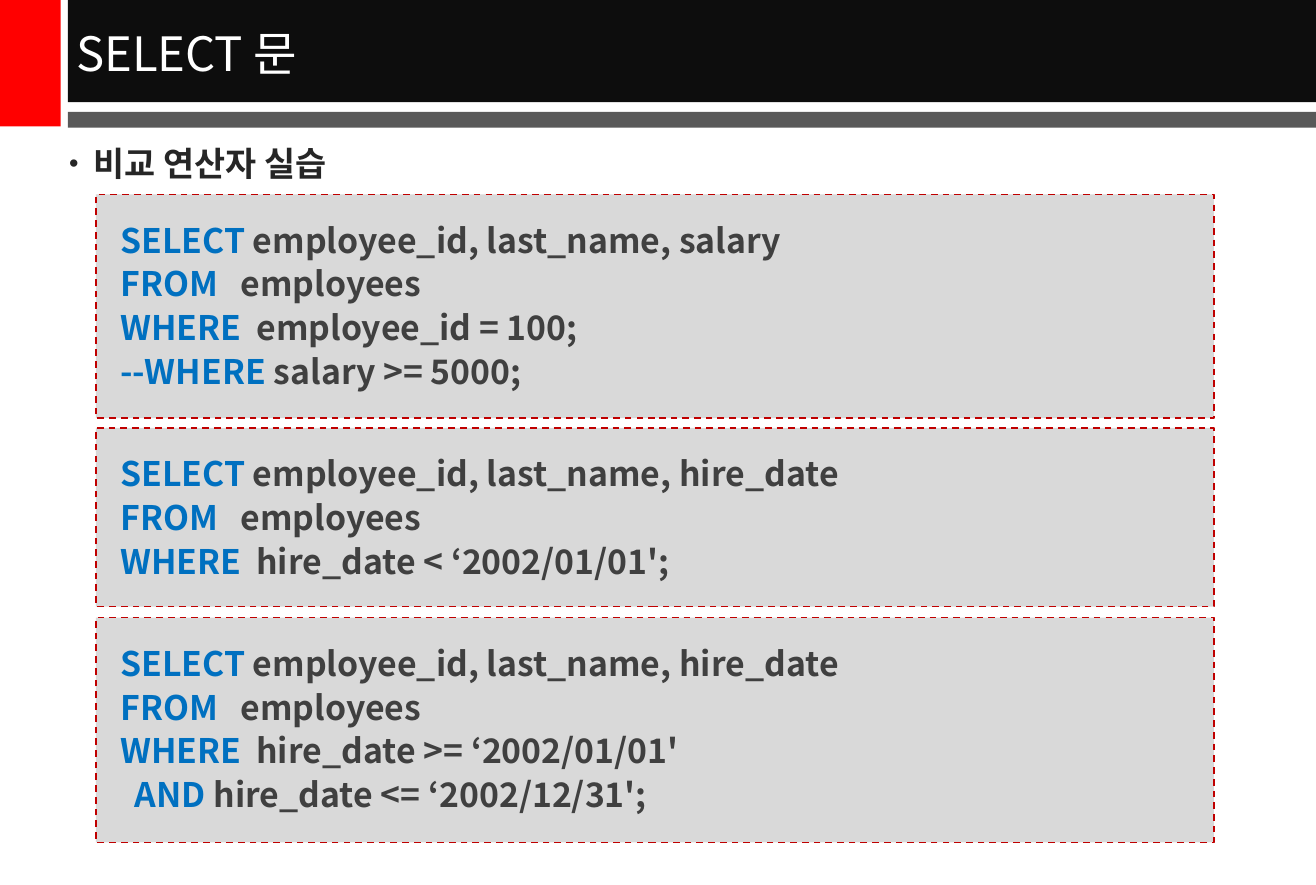
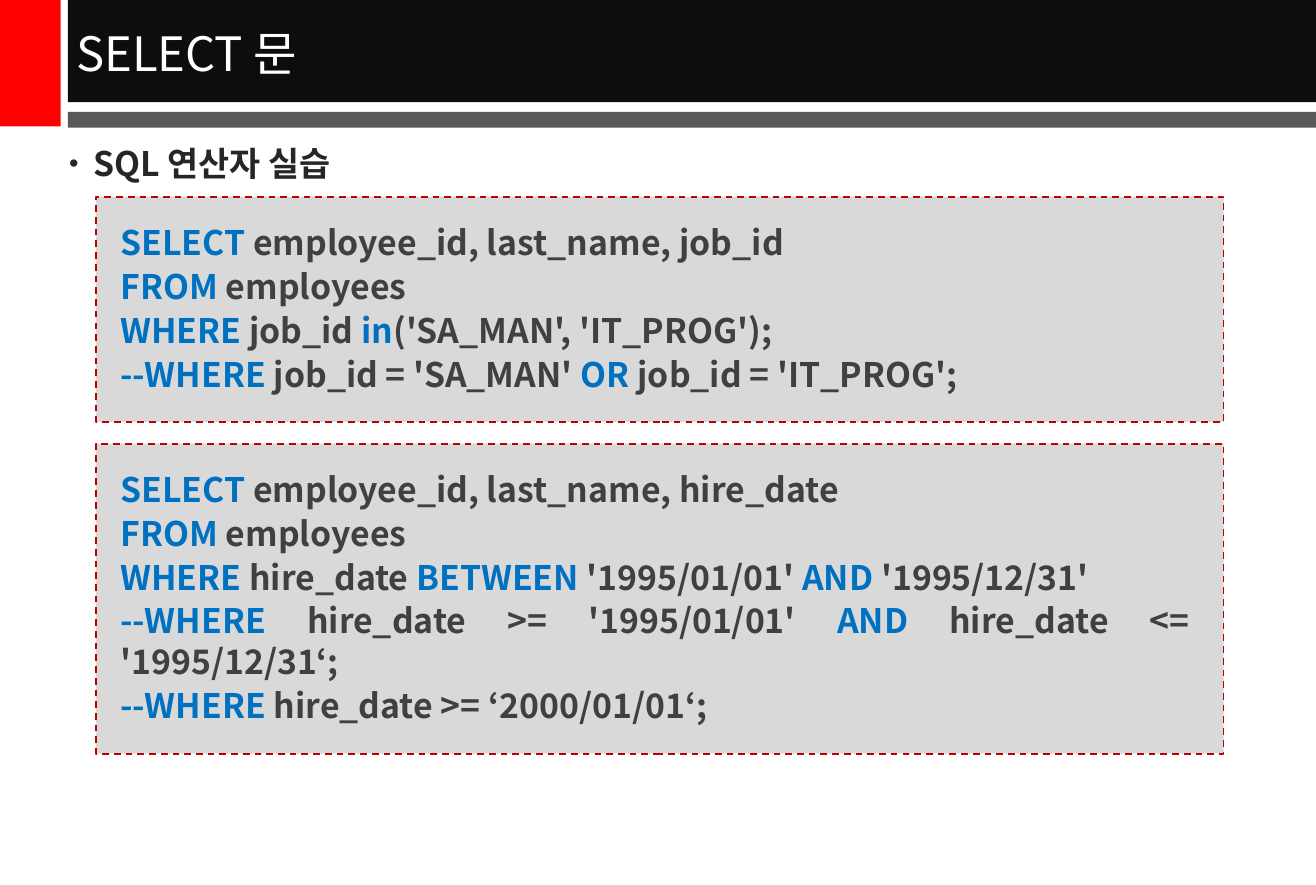
from dataclasses import dataclass

from lxml import etree
from pptx import Presentation
from pptx import util as u
from pptx.dml.color import RGBColor
from pptx.enum import dml, shapes, text
from pptx.oxml.ns import qn

EMU_PER_PX = 9144  # 100 px to the inch


@dataclass(frozen=True)
class Theme:
    font: str = "Noto Sans CJK KR"
    accent: str = "FF0000"
    title_band: str = "0D0D0D"
    rule_band: str = "595959"
    title: str = "FFFFFF"
    heading: str = "262626"
    keyword: str = "0070C0"
    code: str = "404040"
    panel: str = "D9D9D9"
    panel_line: str = "C00000"
    title_size: int = 28
    body_size: int = 20
    body_leading: float = 24.3
    code_gap: float = 1.7
    heading_gap: float = 2


@dataclass(frozen=True)
class Box:
    left: int
    top: int
    width: int
    height: int


@dataclass(frozen=True)
class Line:
    """Code whose pieces alternate: keyword, plain, keyword, ..."""
    pieces: tuple[str, ...]
    tab: int = 0
    indent: int = 0


@dataclass(frozen=True)
class Panel:
    box: Box
    lines: tuple[Line, ...]


@dataclass(frozen=True)
class Page:
    heading: str
    panels: tuple[Panel, ...]


THEME = Theme()
TITLE = "SELECT 문"
BANDS = (
    (Box(0, 0, 50, 104), THEME.accent),
    (Box(56, 0, 1027, 84), THEME.title_band),
    (Box(56, 92, 1027, 13), THEME.rule_band),
)
TITLE_BOX = Box(53, 2, 1030, 82)
HEADING_BOX = Box(47, 112, 991, 44)
PANEL_LEFT = 79
FROM_TAB, WHERE_TAB = 99, 112

FROM_ALIGNED = Line(("FROM\t", "employees"), tab=FROM_TAB)
FROM_PLAIN = Line(("FROM ", "employees"))
SELECT_HIRE_DATE = Line(("SELECT ", "employee_id, last_name, hire_date"))

PAGES = (
    Page("비교 연산자 실습", (
        Panel(Box(PANEL_LEFT, 160, 920, 184), (
            Line(("SELECT ", "employee_id, last_name, salary")),
            FROM_ALIGNED,
            Line(("WHERE\t", "employee_id = 100;"), tab=WHERE_TAB),
            Line(("--WHERE ", "salary >= 5000;")),
        )),
        Panel(Box(PANEL_LEFT, 352, 920, 147), (
            SELECT_HIRE_DATE,
            FROM_ALIGNED,
            Line(("WHERE\t", "hire_date < ‘2002/01/01';"), tab=WHERE_TAB),
        )),
        Panel(Box(PANEL_LEFT, 508, 920, 185), (
            SELECT_HIRE_DATE,
            FROM_ALIGNED,
            Line(("WHERE\t", "hire_date >= ‘2002/01/01'"), tab=WHERE_TAB),
            Line(("AND ", "hire_date <= ‘2002/12/31';"), indent=12),
        )),
    )),
    Page("SQL 연산자 실습", (
        Panel(Box(PANEL_LEFT, 162, 928, 185), (
            Line(("SELECT ", "employee_id, last_name, job_id")),
            FROM_PLAIN,
            Line(("WHERE ", "job_id", " in", "('SA_MAN', 'IT_PROG');")),
            Line(("--WHERE ", "job_id = 'SA_MAN' ", "OR ", "job_id = 'IT_PROG';")),
        )),
        Panel(Box(PANEL_LEFT, 365, 928, 255), (
            SELECT_HIRE_DATE,
            FROM_PLAIN,
            Line(("WHERE ", "hire_date", " BETWEEN ", "'1995/01/01'",
                  " AND ", "'1995/12/31'")),
            Line(("--WHERE ", "hire_date >= '1995/01/01'",
                  " AND ", "hire_date <= '1995/12/31‘;")),
            Line(("--WHERE ", "hire_date >= ‘2000/01/01‘;")),
        )),
    )),
)


def px(length: int) -> u.Emu:
    return u.Emu(length * EMU_PER_PX)


def place(box: Box) -> tuple[u.Emu, ...]:
    return px(box.left), px(box.top), px(box.width), px(box.height)


def color(value: str) -> RGBColor:
    return RGBColor.from_string(value)


def set_font(paragraph, size: int, bold: bool = False) -> None:
    """Set one typeface for Latin and Korean text."""
    paragraph.font.name = THEME.font
    paragraph.font.size = u.Pt(size)
    paragraph.font.bold = bold
    defaults = paragraph._p.pPr.find(qn("a:defRPr"))
    etree.SubElement(defaults, qn("a:ea"), typeface=THEME.font)


def set_indent(paragraph, left: int, first: int = 0) -> None:
    paragraph._p.pPr.set("marL", str(px(left)))
    paragraph._p.pPr.set("indent", str(px(first)))


def add_property(paragraph, tag: str, **attributes: str):
    """Add a paragraph property ahead of its font defaults."""
    element = etree.Element(qn(tag), attributes)
    paragraph._p.pPr.find(qn("a:defRPr")).addprevious(element)
    return element


def add_run(paragraph, wording: str, value: str) -> None:
    run = paragraph.add_run()
    run.text = wording
    run.font.color.rgb = color(value)


def add_rectangle(slide, box: Box, fill: str):
    shape = slide.shapes.add_shape(shapes.MSO_SHAPE.RECTANGLE, *place(box))
    shape.shadow.inherit = False
    shape.fill.solid()
    shape.fill.fore_color.rgb = color(fill)
    shape.line.fill.background()
    return shape


def add_text(slide, box: Box, wording: str, value: str, size: int, bold: bool = False):
    frame = slide.shapes.add_textbox(*place(box)).text_frame
    frame.word_wrap = True
    paragraph = frame.paragraphs[0]
    set_font(paragraph, size, bold)
    add_run(paragraph, wording, value)
    return frame


# Shared bands and title
def add_header(slide) -> None:
    for box, fill in BANDS:
        add_rectangle(slide, box, fill)
    frame = add_text(slide, TITLE_BOX, TITLE, THEME.title, THEME.title_size)
    frame.vertical_anchor = text.MSO_ANCHOR.MIDDLE


# Bulleted heading
def add_heading(slide, wording: str) -> None:
    frame = add_text(slide, HEADING_BOX, wording, THEME.heading, THEME.body_size, bold=True)
    paragraph = frame.paragraphs[0]
    paragraph.line_spacing = u.Pt(THEME.body_leading)
    paragraph.space_before = u.Pt(THEME.heading_gap)
    set_indent(paragraph, 20, -20)
    add_property(paragraph, "a:buSzPct", val="80000")
    add_property(paragraph, "a:buFont", typeface="Arial")
    add_property(paragraph, "a:buChar", char="•")


# Code panels
def add_code_line(paragraph, line: Line) -> None:
    paragraph.alignment = text.PP_ALIGN.JUSTIFY
    paragraph.line_spacing = u.Pt(THEME.body_leading)
    paragraph.space_before = u.Pt(THEME.code_gap)
    set_font(paragraph, THEME.body_size, bold=True)
    if line.indent:
        set_indent(paragraph, line.indent)
    if line.tab:
        tabs = add_property(paragraph, "a:tabLst")
        etree.SubElement(tabs, qn("a:tab"), pos=str(px(line.tab)), algn="l")
    for index, piece in enumerate(line.pieces):
        add_run(paragraph, piece, THEME.code if index % 2 else THEME.keyword)


def add_panel(slide, panel: Panel) -> None:
    shape = add_rectangle(slide, panel.box, THEME.panel)
    shape.line.color.rgb = color(THEME.panel_line)
    shape.line.width = u.Pt(1)
    shape.line.dash_style = dml.MSO_LINE.DASH
    frame = shape.text_frame
    frame.word_wrap = True
    frame.vertical_anchor = text.MSO_ANCHOR.TOP
    frame.margin_left = frame.margin_top = frame.margin_bottom = px(20)
    frame.margin_right = px(28)
    for index, line in enumerate(panel.lines):
        paragraph = frame.add_paragraph() if index else frame.paragraphs[0]
        add_code_line(paragraph, line)


def main() -> None:
    presentation = Presentation()
    presentation.slide_width, presentation.slide_height = px(1083), px(728)
    for page in PAGES:
        slide = presentation.slides.add_slide(presentation.slide_layouts[6])
        add_header(slide)
        add_heading(slide, page.heading)
        for panel in page.panels:
            add_panel(slide, panel)
    presentation.save("out.pptx")


if __name__ == "__main__":
    main()
